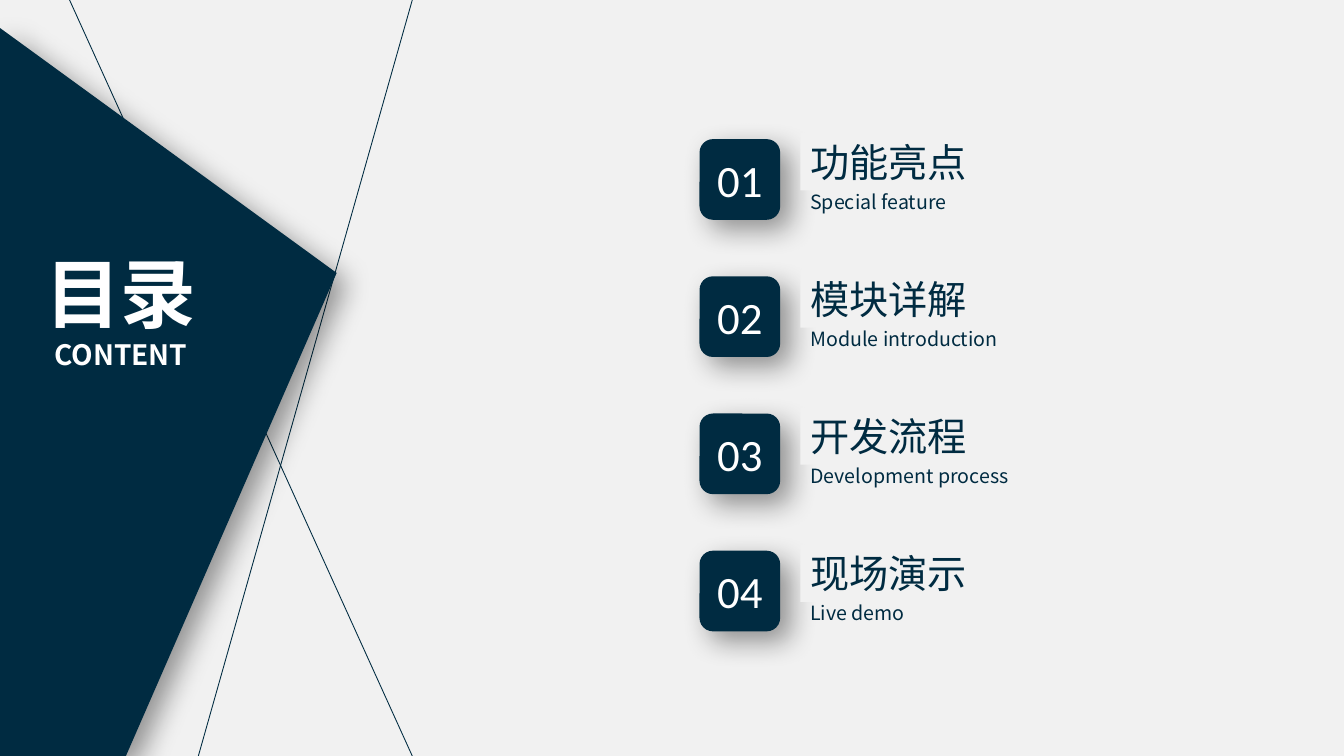
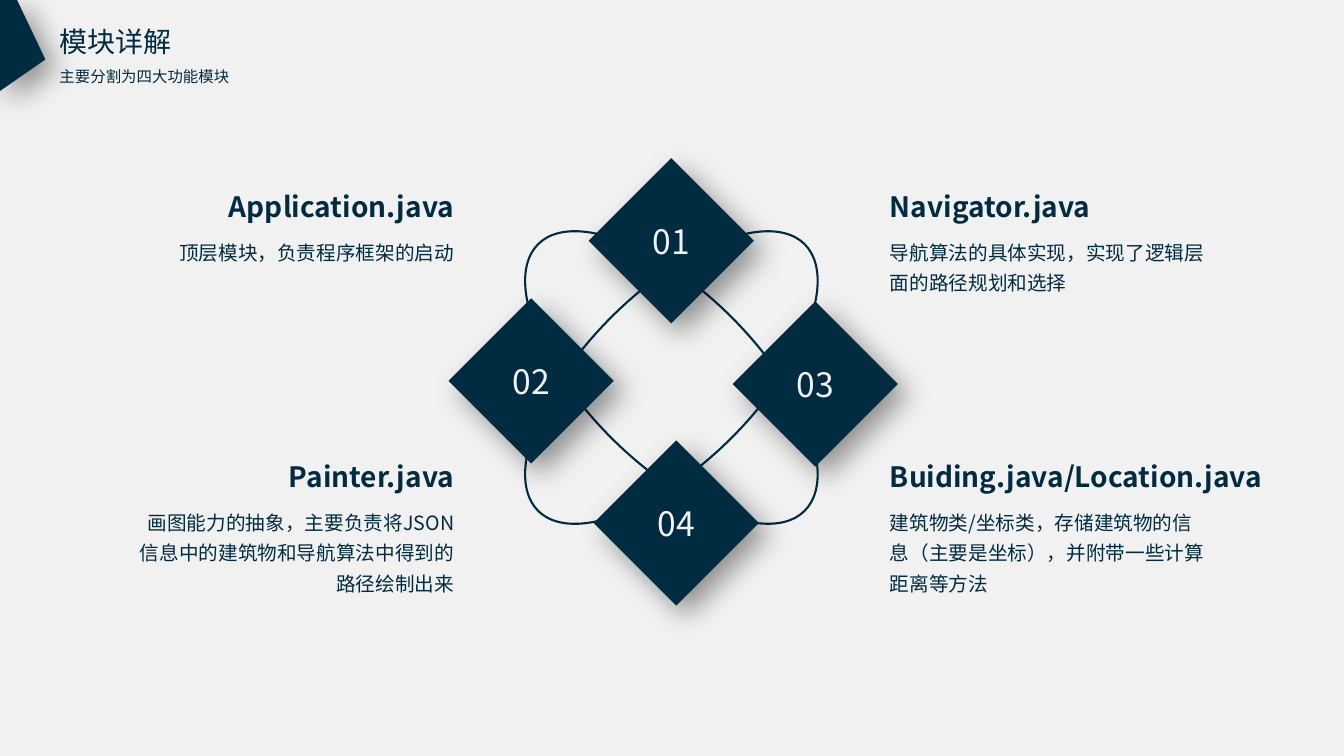
from dataclasses import dataclass

from lxml import etree
from pptx import Presentation
from pptx.dml.color import RGBColor
from pptx.enum.shapes import MSO_CONNECTOR, MSO_SHAPE
from pptx.enum.text import MSO_ANCHOR, MSO_AUTO_SIZE, PP_ALIGN
from pptx.oxml.ns import qn
from pptx.util import Pt

# Shared look
NAVY = RGBColor(0x00, 0x2B, 0x41)
PALE = RGBColor(0xF1, 0xF1, 0xF1)
SOFT = RGBColor(0xF2, 0xF2, 0xF2)
WHITE = RGBColor(0xFF, 0xFF, 0xFF)
SANS = "Noto Sans CJK SC"
LATIN = "Calibri"

LEFT, CENTER, RIGHT = PP_ALIGN.LEFT, PP_ALIGN.CENTER, PP_ALIGN.RIGHT
TOP, MIDDLE = MSO_ANCHOR.TOP, MSO_ANCHOR.MIDDLE
GROW = MSO_AUTO_SIZE.SHAPE_TO_FIT_TEXT
STRAIGHT = MSO_CONNECTOR.STRAIGHT
RECT, ROUND = MSO_SHAPE.RECTANGLE, MSO_SHAPE.ROUNDED_RECTANGLE
OVAL, DIAMOND = MSO_SHAPE.OVAL, MSO_SHAPE.FLOWCHART_DECISION

WIDE, HIGH = 960, 540
TITLE_ONLY, TITLE_BODY = 5, 1


@dataclass(frozen=True)
class Box:
    left: float
    top: float
    width: float
    height: float

    def pts(self) -> tuple:
        return Pt(self.left), Pt(self.top), Pt(self.width), Pt(self.height)


@dataclass(frozen=True)
class Topic:
    head: str
    sub: str
    width: float


@dataclass(frozen=True)
class Node:
    label: str
    left: float
    top: float


@dataclass(frozen=True)
class Note:
    head: str
    text: str
    width: float
    lines: int
    top: float
    align: PP_ALIGN


# Text and shape helpers
def write(frame, text: str, *, size: float, color: RGBColor = NAVY,
          font: str = SANS, bold: bool = False, align: PP_ALIGN = LEFT,
          space: float = 1.0) -> None:
    """Fill the first empty paragraph, or add one."""
    para = frame.add_paragraph() if frame.text else frame.paragraphs[0]
    para.alignment, para.line_spacing = align, space
    para.space_before = Pt(0)
    run = para.add_run()
    run.text = text
    run.font.size, run.font.bold = Pt(size), bold
    run.font.name = font
    run.font.color.rgb = color
    face = etree.SubElement(run.font._element, qn("a:ea"))
    face.set("typeface", font)


def fit(shape, wrap: bool = True, anchor: MSO_ANCHOR = TOP):
    frame = shape.text_frame
    frame.word_wrap, frame.auto_size = wrap, GROW
    frame.vertical_anchor = anchor
    return frame


def label(slide, box: Box, text: str, wrap: bool = True, **style) -> None:
    write(fit(slide.shapes.add_textbox(*box.pts()), wrap), text, **style)


def place(holder, box: Box, wrap: bool = True):
    holder.left, holder.top, holder.width, holder.height = box.pts()
    return fit(holder, wrap)


def paint(shape, color: RGBColor = NAVY, shade: bool = True) -> None:
    """Solid fill, no outline, optional soft shadow."""
    shape.fill.solid()
    shape.fill.fore_color.rgb = color
    shape.line.fill.background()
    shape.shadow.inherit = False
    if shade:
        effects = shape.element.spPr.find(qn("a:effectLst"))
        outer = etree.SubElement(
            effects, qn("a:outerShdw"), blurRad=str(Pt(20)), dist=str(Pt(10)),
            dir=str(45 * 60000), algn="tl", rotWithShape="0")
        black = etree.SubElement(outer, qn("a:srgbClr"), val="000000")
        etree.SubElement(black, qn("a:alpha"), val="40000")


def block(slide, kind: MSO_SHAPE, box: Box, color: RGBColor = NAVY,
          shade: bool = True):
    shape = slide.shapes.add_shape(kind, *box.pts())
    paint(shape, color, shade)
    return shape


def wedge(slide, points: list[tuple[float, float]]) -> None:
    spots = [(Pt(x), Pt(y)) for x, y in points]
    pen = slide.shapes.build_freeform(*spots[0], scale=1.0)
    pen.add_line_segments(spots[1:], close=True)
    paint(pen.convert_to_shape())


def stroke(slide, x1: float, y1: float, x2: float, y2: float) -> None:
    line = slide.shapes.add_connector(STRAIGHT, Pt(x1), Pt(y1), Pt(x2), Pt(y2))
    line.line.color.rgb, line.line.width = NAVY, Pt(0.63)
    etree.SubElement(line.element.spPr, qn("a:effectLst"))


def ring(slide, box: Box, angle: float) -> None:
    oval = slide.shapes.add_shape(OVAL, *box.pts())
    oval.rotation = angle
    oval.fill.background()
    oval.line.color.rgb, oval.line.width = NAVY, Pt(1.5)
    oval.shadow.inherit = False


# Contents slide
TOPICS = [
    Topic("功能亮点", "Special feature", 114.5),
    Topic("模块详解", "Module introduction", 154.8),
    Topic("开发流程", "Development process", 162),
    Topic("现场演示", "Live demo", 84.2),
]
PITCH = 98


def topic(slide, index: int, item: Topic) -> None:
    shift = index * PITCH
    chip = block(slide, ROUND, Box(499.7, 99.4 + shift, 57.6, 57.6))
    frame = chip.text_frame
    frame.word_wrap, frame.vertical_anchor = False, MIDDLE
    write(frame, f"{index + 1:02}", size=32, color=WHITE, font=LATIN,
          align=CENTER)
    label(slide, Box(571.7, 131.8 + shift, item.width, 24.5), item.sub,
          wrap=False, size=14)
    head = block(slide, RECT, Box(571.7, 95 + shift, 228.2, 41), PALE, False)
    write(fit(head), item.head, size=28)


def contents(deck) -> None:
    slide = deck.slides.add_slide(deck.slide_layouts[TITLE_ONLY])
    stroke(slide, 294.5, 0, 141.7, HIGH)
    stroke(slide, 294.5, HIGH, 49.7, 0)
    wedge(slide, [(90, HIGH), (0, HIGH), (0, 20), (240.5, 195)])

    title = slide.shapes.title
    slide.shapes.element.append(title.element)  # in front of the wedge
    frame = place(title, Box(17.3, 172.8, 138.2, 97.2))
    for text, size in (("目录", 54), ("CONTENT", 20)):
        write(frame, text, size=size, color=WHITE, bold=True, align=CENTER)

    for index, item in enumerate(TOPICS):
        topic(slide, index, item)


# Modules slide
NODES = [
    Node("01", 420.5, 113),
    Node("03", 523.4, 215.3),
    Node("04", 424.1, 314.6),
    Node("02", 320.4, 213.1),
]
UPPER, LOWER = 131.8, 324.7
NOTES = [
    Note("Buiding.java/Location.java",
         "建筑物类/坐标类，存储建筑物的信息（主要是坐标），并附带一些计算距离等方法",
         297.4, 3, LOWER, LEFT),
    Note("Navigator.java", "导航算法的具体实现，实现了逻辑层面的路径规划和选择",
         182.9, 2, UPPER, LEFT),
    Note("Painter.java",
         "画图能力的抽象，主要负责将JSON信息中的建筑物和导航算法中得到的路径绘制出来",
         136.8, 3, LOWER, RIGHT),
    Note("Application.java", "顶层模块，负责程序框架的启动",
         182.9, 1, UPPER, RIGHT),
]
EDGES = {LEFT: 628.6, RIGHT: 331.6}
SPAN = 242.6


def note(slide, item: Note) -> None:
    def start(width: float) -> float:
        return EDGES[item.align] - (width if item.align == RIGHT else 0)

    label(slide, Box(start(item.width), item.top, item.width, 31.5),
          item.head, size=20, bold=True, align=item.align)
    label(slide, Box(start(SPAN), item.top + 31.4, SPAN, 5.4 + 22 * item.lines),
          item.text, size=14, align=item.align, space=1.3)


def modules(deck) -> None:
    slide = deck.slides.add_slide(deck.slide_layouts[TITLE_BODY])
    title, body = slide.placeholders
    write(place(title, Box(35.3, 13.7, 95, 31.5), wrap=False), "模块详解", size=20)
    frame = place(body, Box(35.3, 40.3, 220.3, 22.9))
    write(frame, "主要分割为四大功能模块", size=11, space=1.3)
    props = frame.paragraphs[0]._p.get_or_add_pPr()
    props.set("marL", "0")
    props.set("indent", "0")
    etree.SubElement(props, qn("a:buNone"))
    wedge(slide, [(12.2, 0), (0, 0), (0, 65), (32.4, 42.5)])

    for angle in (45, 135):
        ring(slide, Box(344.9, 208.8, 269.3, 121.7), angle)
    for node in NODES:
        shape = block(slide, DIAMOND, Box(node.left, node.top, 118, 118))
        shape.text_frame.vertical_anchor = MIDDLE
        write(shape.text_frame, node.label, size=24, color=SOFT, align=CENTER)
    for item in NOTES:
        note(slide, item)


# Build the deck
def main() -> None:
    deck = Presentation()
    deck.slide_width, deck.slide_height = Pt(WIDE), Pt(HIGH)
    back = deck.slide_master.background.fill
    back.solid()
    back.fore_color.rgb = PALE
    contents(deck)
    modules(deck)
    deck.save("out.pptx")


main()
